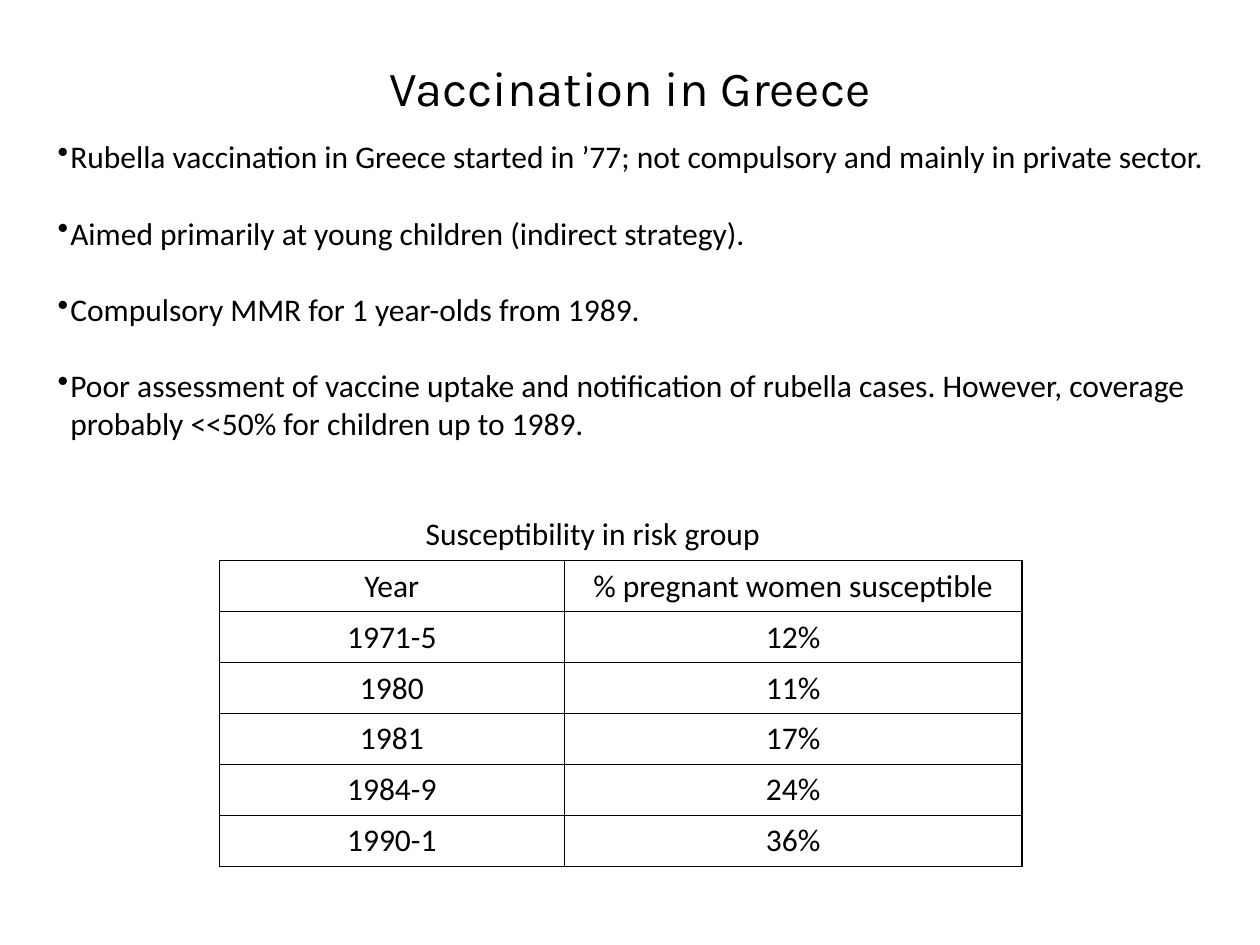
from lxml import etree
from pptx import Presentation
from pptx.dml.color import RGBColor
from pptx.enum import text
from pptx.oxml import ns
from pptx.util import Inches, Pt

COLORS = {"ink": "000000"}
BULLETS = [
    "Rubella vaccination in Greece started in ’77; not compulsory and mainly in private sector.",
    "Aimed primarily at young children (indirect strategy).",
    "Compulsory MMR for 1 year-olds from 1989.",
    "Poor assessment of vaccine uptake and notification of rubella cases. However, coverage"
    "\vprobably <<50% for children up to 1989.",
]
ROWS = [
    ("Year", "% pregnant women susceptible"),
    ("1971-5", "12%"),
    ("1980", "11%"),
    ("1981", "17%"),
    ("1984-9", "24%"),
    ("1990-1", "36%"),
]


def style(p, size=18, name="Calibri", align=text.PP_ALIGN.LEFT):
    p.alignment = align
    p.font.size = Pt(size)
    p.font.name = name
    p.font.color.rgb = RGBColor.from_string(COLORS["ink"])


def add_box(s, x, y, w, h):
    tf = s.shapes.add_textbox(Inches(x), Inches(y), Inches(w), Inches(h)).text_frame
    tf.word_wrap = True
    return tf


def add_title(s, x, y, w, h):
    tf = add_box(s, x, y, w, h)
    tf.vertical_anchor = text.MSO_ANCHOR.MIDDLE
    tf.margin_bottom = Inches(0.15)
    p = tf.paragraphs[0]
    p.text = "Vaccination in Greece"
    style(p, 28, "Karla", text.PP_ALIGN.CENTER)


def add_bullets(s, x, y, w, h):
    tf = add_box(s, x, y, w, h)
    hang = Inches(0.1)
    for i, line in enumerate(BULLETS):
        p = tf.add_paragraph() if i else tf.paragraphs[0]
        p.text = line
        style(p)
        p.space_before = Pt(22 if i else 0)
        pPr = p._p.get_or_add_pPr()
        pPr.set("marL", str(hang))
        pPr.set("indent", str(-hang))
        bullet = etree.Element(ns.qn("a:buChar"), char="•")
        pPr.insert_element_before(bullet, "a:tabLst", "a:defRPr", "a:extLst")


def add_borders(cell):
    tcPr = cell._tc.get_or_add_tcPr()
    for i, side in enumerate(("lnL", "lnR", "lnT", "lnB")):
        ln = etree.Element(ns.qn(f"a:{side}"), w=str(Pt(1)))
        fill = etree.SubElement(ln, ns.qn("a:solidFill"))
        etree.SubElement(fill, ns.qn("a:srgbClr"), val=COLORS["ink"])
        tcPr.insert(i, ln)


def add_susceptibility(s, x, y, w, h):
    caption_h = 0.42
    caption = add_box(s, x + 1.54, y, 2.89, 0.4).paragraphs[0]
    caption.text = "Susceptibility in risk group"
    style(caption)

    table = s.shapes.add_table(
        len(ROWS), 2, Inches(x), Inches(y + caption_h), Inches(w), Inches(h - caption_h)
    ).table
    table.first_row = table.horz_banding = False
    year_w = 2.74
    table.columns[0].width = Inches(year_w)
    table.columns[1].width = Inches(w - year_w)
    for row, values in zip(table.rows, ROWS):
        for cell, value in zip(row.cells, values):
            cell.fill.background()
            cell.vertical_anchor = text.MSO_ANCHOR.MIDDLE
            p = cell.text_frame.paragraphs[0]
            p.text = value
            style(p, align=text.PP_ALIGN.CENTER)
            add_borders(cell)


def main():
    prs = Presentation()
    prs.slide_width, prs.slide_height = Inches(10), Inches(7.5)
    s = prs.slides.add_slide(prs.slide_layouts[6])
    add_title(s, 0.75, 0.36, 8.5, 0.76)
    add_susceptibility(s, 1.74, 4.03, 6.37, 2.85)
    add_bullets(s, 0.36, 1.04, 9.4, 2.52)
    prs.save("out.pptx")


if __name__ == "__main__":
    main()
